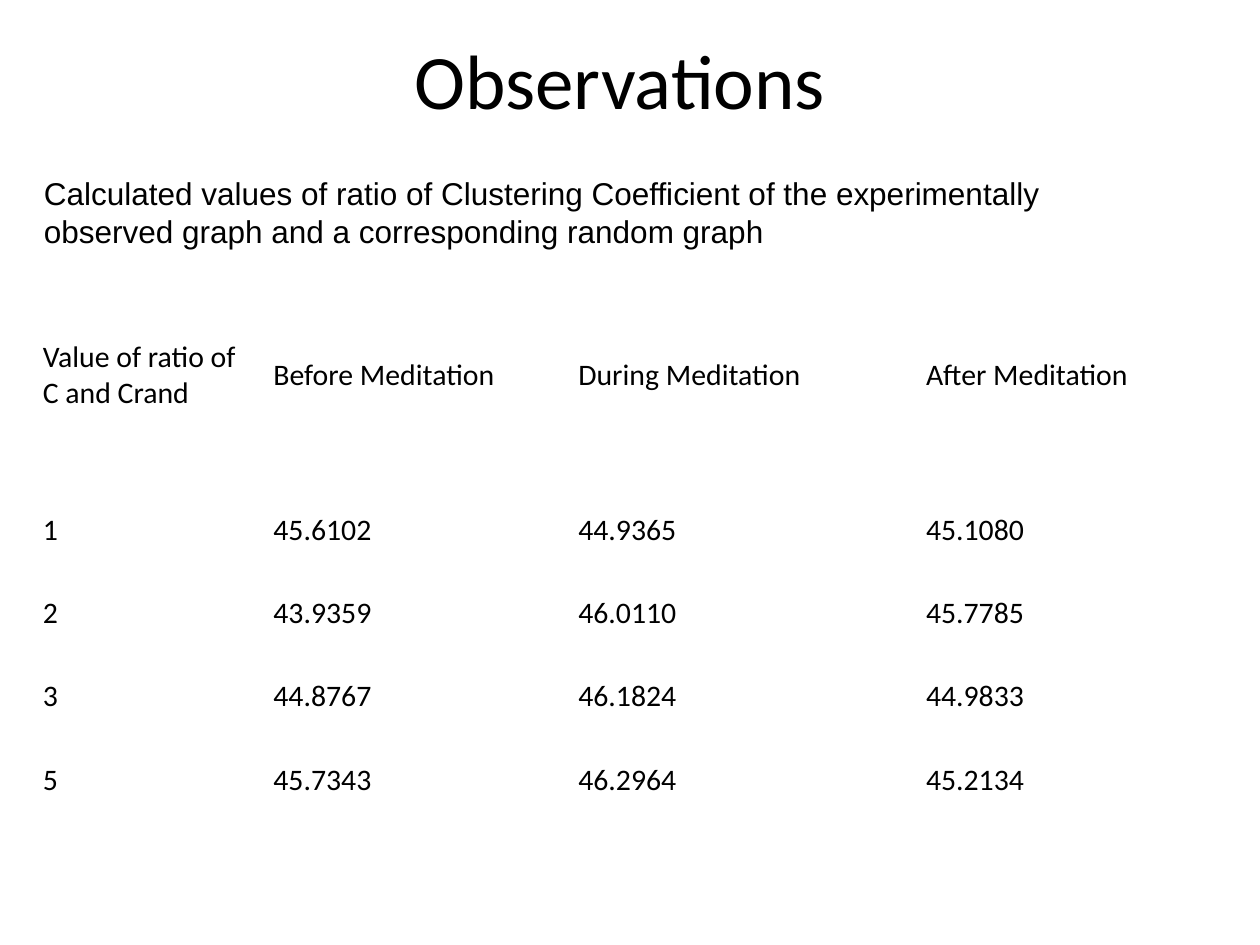
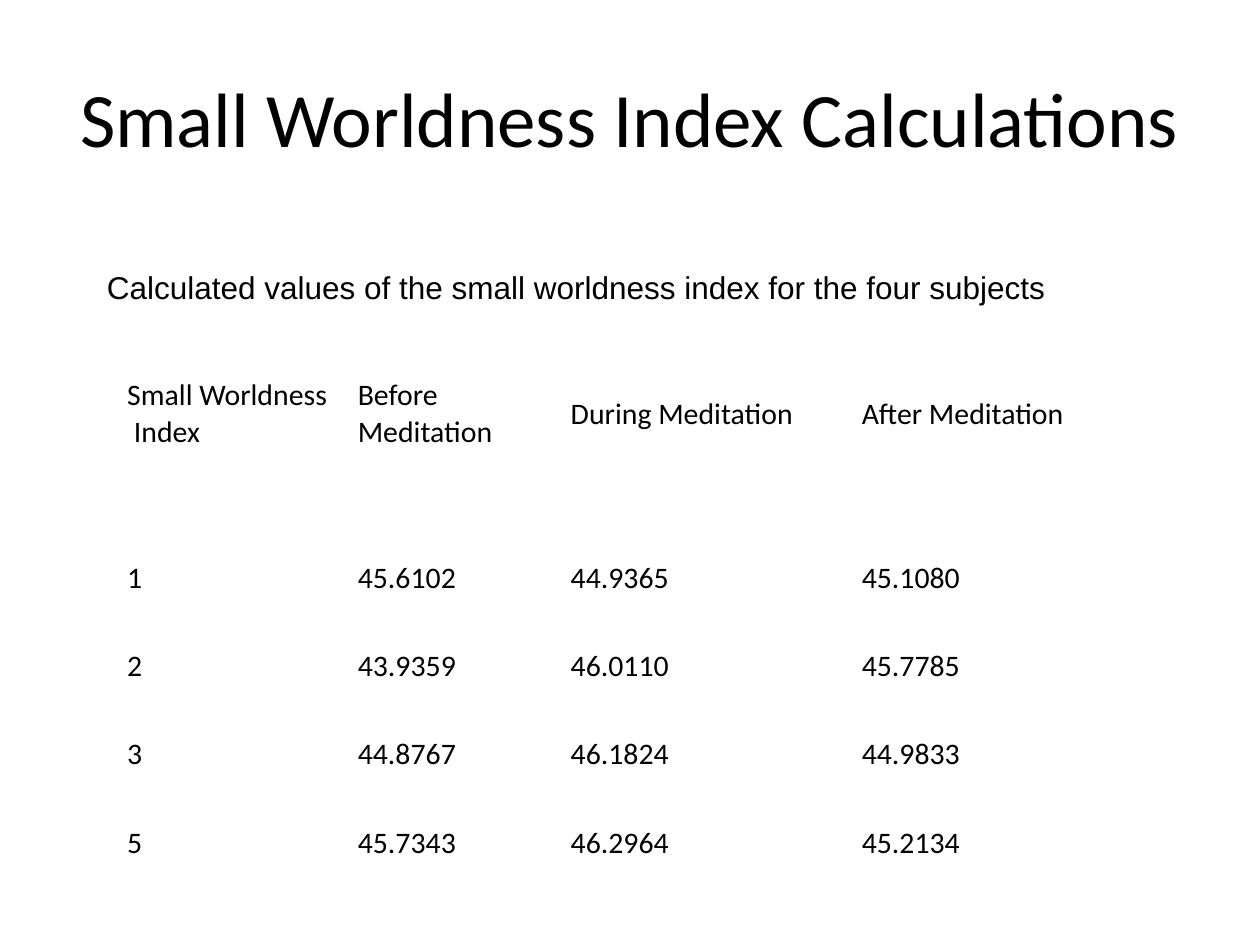
from pptx import Presentation
from pptx.dml.color import RGBColor
from pptx.enum.text import MSO_ANCHOR, PP_ALIGN
from pptx.util import Inches, Pt

TEXT_COLOUR = "000000"
TITLE_SIZE = (9, 1.25)

MEASUREMENTS = [
    ("1", "45.6102", "44.9365", "45.1080"),
    ("2", "43.9359", "46.0110", "45.7785"),
    ("3", "44.8767", "46.1824", "44.9833"),
    ("5", "45.7343", "46.2964", "45.2134"),
]

SLIDES = [
    {
        "title": "Observations",
        "title_position": (0.42, 0),
        "caption": "Calculated values of ratio of Clustering Coefficient of the experimentally "
                   "observed graph and a corresponding random graph",
        "caption_box": (0.25, 1.33, 8.92, 1.31),
        "header": ("Value of ratio of  C and Crand", "Before Meditation",
                   "During Meditation", "After Meditation"),
        "table_position": (0.25, 2.08),
        "column_widths": (1.83, 2.42, 2.76, 2.49),
        "header_height": 1.8,
        "row_height": 0.66,
    },
    {
        "title": "Small Worldness Index Calculations",
        "title_position": (0.5, 0.3),
        "caption": "Calculated values of the small worldness index for the four subjects",
        "caption_box": (0.75, 2.08, 8.5, 0.4),
        "header": ("Small Worldness\v Index", "Before\nMeditation",
                   "During Meditation", "After Meditation"),
        "table_position": (0.92, 2.33),
        "column_widths": (1.83, 1.69, 2.31, 2.67),
        "header_height": 1.91,
        "row_height": 0.7,
    },
]


def colour(value):
    return RGBColor.from_string(value)


def write_text(text_frame, text, font_name, size, alignment=PP_ALIGN.LEFT):
    text_frame.text = text
    for paragraph in text_frame.paragraphs:
        paragraph.alignment = alignment
        for run in paragraph.runs:
            run.font.name = font_name
            run.font.size = Pt(size)
            run.font.color.rgb = colour(TEXT_COLOUR)


def add_title(slide, text, position):
    title = slide.shapes.title
    title.left, title.top, title.width, title.height = map(Inches, position + TITLE_SIZE)
    title.text_frame.vertical_anchor = MSO_ANCHOR.MIDDLE
    write_text(title.text_frame, text, "Calibri", 44, PP_ALIGN.CENTER)


def add_caption(slide, text, box):
    caption = slide.shapes.add_textbox(*map(Inches, box))
    caption.text_frame.word_wrap = True
    write_text(caption.text_frame, text, "Arial", 18)


def add_measurement_table(slide, content):
    rows = [content["header"], *MEASUREMENTS]
    widths = content["column_widths"]
    heights = [content["header_height"]] + [content["row_height"]] * len(MEASUREMENTS)
    size = (sum(widths), sum(heights))
    frame = slide.shapes.add_table(
        len(rows), len(widths), *map(Inches, content["table_position"] + size))
    table = frame.table
    table.first_row = False
    table.horz_banding = False
    for column, width in zip(table.columns, widths):
        column.width = Inches(width)
    for row, height, texts in zip(table.rows, heights, rows):
        row.height = Inches(height)
        for cell, text in zip(row.cells, texts):
            cell.fill.background()
            cell.vertical_anchor = MSO_ANCHOR.MIDDLE
            cell.margin_left = cell.margin_right = Inches(0.09)
            cell.margin_top = cell.margin_bottom = Inches(0.05)
            write_text(cell.text_frame, text, "Calibri", 17)


def main():
    presentation = Presentation()
    presentation.slide_width = Inches(10)
    presentation.slide_height = Inches(7.5)
    title_only = presentation.slide_layouts.get_by_name("Title Only")
    for content in SLIDES:
        slide = presentation.slides.add_slide(title_only)
        add_title(slide, content["title"], content["title_position"])
        add_measurement_table(slide, content)
        add_caption(slide, content["caption"], content["caption_box"])
    presentation.save("out.pptx")


if __name__ == "__main__":
    main()
